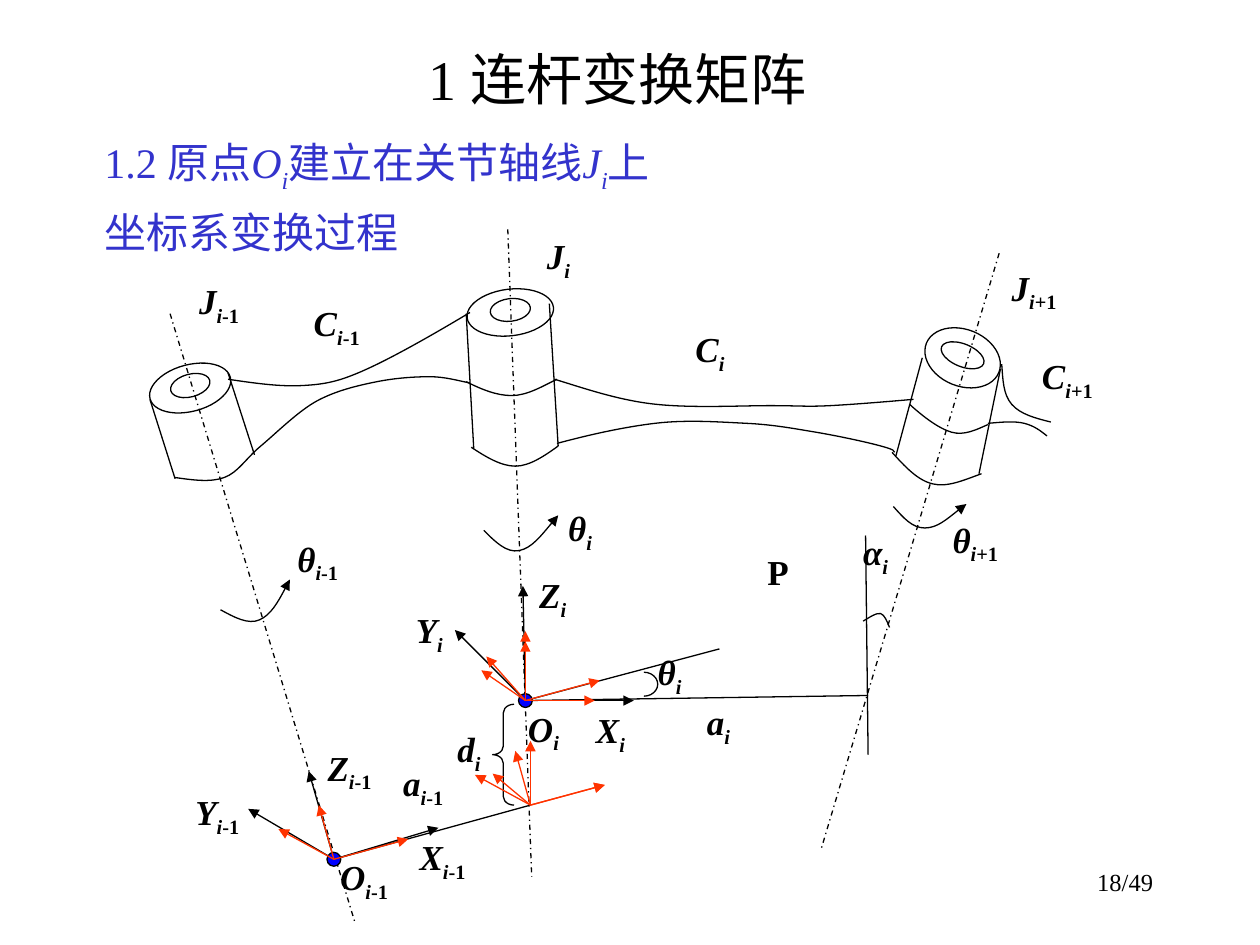
"""Build the slide on link transformation between joint frames."""
from collections import namedtuple

from lxml import etree
from pptx import Presentation
from pptx.dml.color import RGBColor
from pptx.enum.dml import MSO_LINE
from pptx.enum.shapes import MSO_CONNECTOR, MSO_SHAPE
from pptx.enum.text import MSO_ANCHOR, PP_ALIGN
from pptx.oxml.ns import qn
from pptx.util import Cm, Pt

STRAIGHT, DASH_DOT = MSO_CONNECTOR.STRAIGHT, MSO_LINE.DASH_DOT
OVAL, BRACE, ARC = MSO_SHAPE.OVAL, MSO_SHAPE.LEFT_BRACE, MSO_SHAPE.ARC
LEFT, CENTER, RIGHT, JUSTIFY = PP_ALIGN.LEFT, PP_ALIGN.CENTER, PP_ALIGN.RIGHT, PP_ALIGN.JUSTIFY
MIDDLE, TOP = MSO_ANCHOR.MIDDLE, MSO_ANCHOR.TOP
FONT = "Times New Roman"
BLACK, RED, BLUE, INDIGO = "000000", "FF3300", "0000FF", "3333CC"
GRID = Cm(0.0254)
BORE_LIFT, BORE_HEIGHT, DOT = 2, 18, 11

Box = namedtuple("Box", "left top width height")
Joint = namedtuple("Joint", "centre rim bore turn sides axis swing")
Triad = namedtuple("Triad", "origin x y z")

JOINTS = (
    Joint(centre=(151, 308), rim=(66, 37), bore=32, turn=-15,
          sides=(((119, 317), (139, 380)), ((181, 296), (202, 361))),
          axis=((135, 249), (282, 733)), swing=((175, 484), (206, 492), (230, 460))),
    Joint(centre=(405, 248), rim=(69, 37), bore=32, turn=-7,
          sides=(((370, 249), (376, 356)), ((436, 241), (443, 354))),
          axis=((403, 182), (422, 696)), swing=((384, 421), (412, 437), (443, 409))),
    Joint(centre=(764, 284), rim=(62, 45), bore=36, turn=22,
          sides=(((732, 284), (711, 362)), ((794, 293), (777, 376))),
          axis=((793, 201), (652, 673)), swing=((709, 402), (734, 419), (767, 400))))

LINK_EDGES = {
    "previous link, upper": ((181, 301), (240, 306), (291, 293), (373, 248)),
    "previous link, lower": ((139, 379), (178, 379), (207, 354), (252, 318),
                             (299, 303), (341, 299), (373, 304)),
    "middle joint, collar": ((370, 303), (406, 314), (442, 301)),
    "middle joint, base": ((374, 355), (409, 370), (443, 354)),
    "middle link, upper": ((440, 301), (521, 321), (611, 322), (659, 322), (725, 317)),
    "middle link, lower": ((442, 352), (520, 336), (592, 336), (647, 343),
                           (699, 354), (710, 359)),
    "next joint, collar": ((722, 321), (755, 343), (784, 337)),
    "next joint, base": ((708, 359), (740, 384), (779, 376)),
    "next link, upper": ((795, 289), (803, 321), (834, 335)),
    "next link, lower": ((784, 336), (813, 336), (831, 346))}

PREVIOUS, FOOT, ORIGIN, CROSSING = (265, 682), (421, 639), (417, 556), (689, 552)
SLANTED_X, TURNED_X = (59, -16), (55, 0)
TILTED_Z, UPRIGHT_Z = (-12, -43), (0, -51)
OUTER_Y, TWISTED_Y, TURNED_Y = (-44, -24), (-30, -25), (-31, -35)
FIXED_TRIADS = (Triad(ORIGIN, x=(86, 0), y=(-56, -56), z=(-2, -91)),
                Triad(PREVIOUS, x=(83, -25), y=(-68, -40), z=(-20, -70)))
MOVING_TRIADS = (Triad(PREVIOUS, SLANTED_X, OUTER_Y, TILTED_Z),
                 Triad(FOOT, SLANTED_X, OUTER_Y, TILTED_Z),
                 Triad(FOOT, SLANTED_X, TWISTED_Y, UPRIGHT_Z),
                 Triad(ORIGIN, SLANTED_X, (-35, -24), (0, -55)),
                 Triad(ORIGIN, TURNED_X, TURNED_Y, (0, -47)))

LABELS = {
    "J": {"i-1": (156, 221), "i": (432, 185), "i+1": (801, 210)},
    "C": {"i-1": (247, 238), "i": (550, 259), "i+1": (825, 280)},
    "θ": {"i-1": (234, 425), "i": (449, 401), "i+1": (754, 410)},
    "X": {"i-1": (331, 662), "i": (471, 561)},
    "Y": {"i-1": (153, 626), "i": (328, 482)},
    "Z": {"i-1": (258, 591), "i": (426, 454)},
    "O": {"i-1": (268, 678), "i": (417, 560)},
    "a": {"i-1": (318, 603), "i": (559, 555)},
    "d": {"i": (361, 576)}, "α": {"i": (683, 420)}, "P": {"": (607, 436)}}
TURN_ANGLE_LABEL = (520, 515)


def colour(value):
    """Turn a hex string into a colour."""
    return RGBColor.from_string(value)


def shift(point, step):
    """Move a grid point by a step."""
    return point[0] + step[0], point[1] + step[1]


def inner(box, x, y, width, height):
    """Return the box at grid units measured from the corner of another box."""
    return Box(box.left + GRID * x, box.top + GRID * y, GRID * width, GRID * height)


def around(box, centre, width, height):
    """Return the box of a given size about a grid point."""
    return inner(box, centre[0] - width / 2, centre[1] - height / 2, width, height)


def style_line(shape, ink=BLACK, arrow=False, dash=None):
    """Format the line of a shape or connector."""
    shape.line.color.rgb = colour(ink)
    shape.line.width = Pt(0.75)
    if dash:
        shape.line.dash_style = dash
    if arrow:
        etree.SubElement(shape.line._get_or_add_ln(), qn("a:tailEnd"), type="triangle")


def add_line(page, box, start, end, **style):
    """Draw a straight line between two grid points."""
    ends = [edge + GRID * value for point in (start, end)
            for edge, value in zip((box.left, box.top), point)]
    line = page.shapes.add_connector(STRAIGHT, *ends)
    style_line(line, **style)
    etree.SubElement(line._element.spPr, qn("a:effectLst"))


def add_outline(page, kind, area, turn=0, fill=None):
    """Draw a preset shape with a thin black line."""
    shape = page.shapes.add_shape(kind, *[round(length) for length in area])
    shape.shadow.inherit = False
    shape.rotation = turn
    if fill:
        shape.fill.solid()
        shape.fill.fore_color.rgb = colour(fill)
    else:
        shape.fill.background()
    style_line(shape)
    return shape


def midpoint(first, second):
    """Return the point halfway between two points."""
    return (first[0] + second[0]) / 2, (first[1] + second[1]) / 2


def smooth(knots):
    """Return the cubic handles and ends that lead a smooth curve through the knots."""
    pulls = [((after[0] - before[0]) / 6, (after[1] - before[1]) / 6)
             for before, after in zip(knots, knots[2:])]
    points = []
    for index, (start, end) in enumerate(zip(knots, knots[1:])):
        leave = shift(start, pulls[index - 1]) if index else None
        arrive = (shift(end, (-pulls[index][0], -pulls[index][1]))
                  if index < len(pulls) else midpoint(leave, end))
        points += [leave or midpoint(start, arrive), arrive, end]
    return [(round(x), round(y)) for x, y in points]


def add_curve(page, box, knots, arrow=False):
    """Draw a smooth open curve through grid points."""
    builder = page.shapes.build_freeform(*knots[0], scale=GRID)
    builder.add_line_segments(smooth(knots), close=False)
    curve = builder.convert_to_shape(box.left, box.top)
    curve.shadow.inherit = False
    curve.fill.background()
    style_line(curve, arrow=arrow)
    track = next(curve._element.iter(qn("a:path")))
    steps = track.findall(qn("a:lnTo"))
    for first in range(0, len(steps), 3):
        bend = etree.SubElement(track, qn("a:cubicBezTo"))
        for step in steps[first:first + 3]:
            bend.append(step[0])
            track.remove(step)


def write(frame, lines, size, ink=BLACK, bold=None, align=LEFT, anchor=TOP, spacing=None):
    """Fill a text frame with lines of (text, marks); i is italic, s is subscript."""
    frame.word_wrap = True
    frame.vertical_anchor = anchor
    for index, spans in enumerate(lines):
        para = frame.add_paragraph() if index else frame.paragraphs[0]
        para.alignment = align
        para.line_spacing = spacing
        for text, marks in spans:
            span = para.add_run()
            span.text = text
            span.font.name, span.font.size = FONT, Pt(size)
            span.font.bold, span.font.italic = bold, "i" in marks
            span.font.color.rgb = colour(ink)
            if "s" in marks:
                span._r.get_or_add_rPr().set("baseline", "-25000")


def draw_heading(page, box):
    """Place the title, the subheading and the page number."""
    title = page.shapes.title
    title.left, title.top, title.width, title.height = inner(box, 65, 33, 850, 58)
    write(title.text_frame, [[("1 连杆变换矩阵", "")]], 32, align=CENTER, anchor=MIDDLE)
    number = page.shapes.add_textbox(*inner(box, 717, 683, 208, 50))
    write(number.text_frame, [[("18/49", "")]], 14, align=RIGHT)
    subheading = page.shapes.add_textbox(*inner(box, 73, 92, 853, 111))
    write(subheading.text_frame, [
        [("1.2 原点", ""), ("O", "i"), ("i", "is"), ("建立在关节轴线", ""),
         ("J", "i"), ("i", "is"), ("上", "")],
        [("坐标系变换过程", "")]], 24, ink=INDIGO, spacing=1.25)


def draw_mechanism(page, box):
    """Draw each joint with its axis and turning arrow, then the links between them."""
    for joint in JOINTS:
        add_outline(page, OVAL, around(box, joint.centre, *joint.rim), joint.turn)
        bore_centre = shift(joint.centre, (0, -BORE_LIFT))
        add_outline(page, OVAL, around(box, bore_centre, joint.bore, BORE_HEIGHT), joint.turn)
        for side in joint.sides:
            add_line(page, box, *side)
        add_line(page, box, *joint.axis, dash=DASH_DOT)
        add_curve(page, box, joint.swing, arrow=True)
    for knots in LINK_EDGES.values():
        add_curve(page, box, knots)


def draw_triad(page, box, triad, ink):
    """Draw the three arrows of a coordinate frame."""
    for step in (triad.x, triad.y, triad.z):
        add_line(page, box, triad.origin, shift(triad.origin, step), ink=ink, arrow=True)


def draw_frames(page, box):
    """Draw the distances, the angles and the fixed and moving frames."""
    for start, end in ((PREVIOUS, FOOT), (ORIGIN, CROSSING), (ORIGIN, (571, 515)),
                       ((687, 425), (689, 599))):
        add_line(page, box, start, end)
    add_curve(page, box, ((685, 493), (699, 487), (706, 498)))
    turn_angle = add_outline(page, ARC, around(box, (511, 543), 22, 19))
    turn_angle.adjustments[1] = 54
    offset = add_outline(page, BRACE, inner(box, 391, 559, 17, 80))
    offset.adjustments[0] = 0.4
    for triad in FIXED_TRIADS:
        draw_triad(page, box, triad, BLACK)
        add_outline(page, OVAL, around(box, triad.origin, DOT, DOT), fill=BLUE)
    for triad in MOVING_TRIADS:
        draw_triad(page, box, triad, RED)


def add_label(page, box, symbol, index, corner):
    """Write a bold symbol with its index as a subscript."""
    frame = page.shapes.add_textbox(*inner(box, *corner, 58, 49)).text_frame
    frame.margin_left = frame.margin_right = Cm(0.05)
    frame.margin_top = frame.margin_bottom = Cm(0.03)
    spans = [(symbol, "i" if index else ""), (index[:1], "is"), (index[1:], "s")]
    write(frame, [[span for span in spans if span[0]]], 20, bold=True, align=JUSTIFY)


def draw_labels(page, box):
    """Write the symbol beside each joint, link, axis and angle."""
    for symbol, corners in LABELS.items():
        for index, corner in corners.items():
            add_label(page, box, symbol, index, corner)
    add_label(page, box, "θ", "i", TURN_ANGLE_LABEL)


def main():
    """Build and save the deck."""
    deck = Presentation()
    deck.slide_width, deck.slide_height = Cm(25.4), Cm(19.05)
    page = deck.slides.add_slide(deck.slide_layouts[5])
    canvas = Box(0, 0, deck.slide_width, deck.slide_height)
    for draw in (draw_heading, draw_mechanism, draw_frames, draw_labels):
        draw(page, canvas)
    deck.save("out.pptx")


main()
